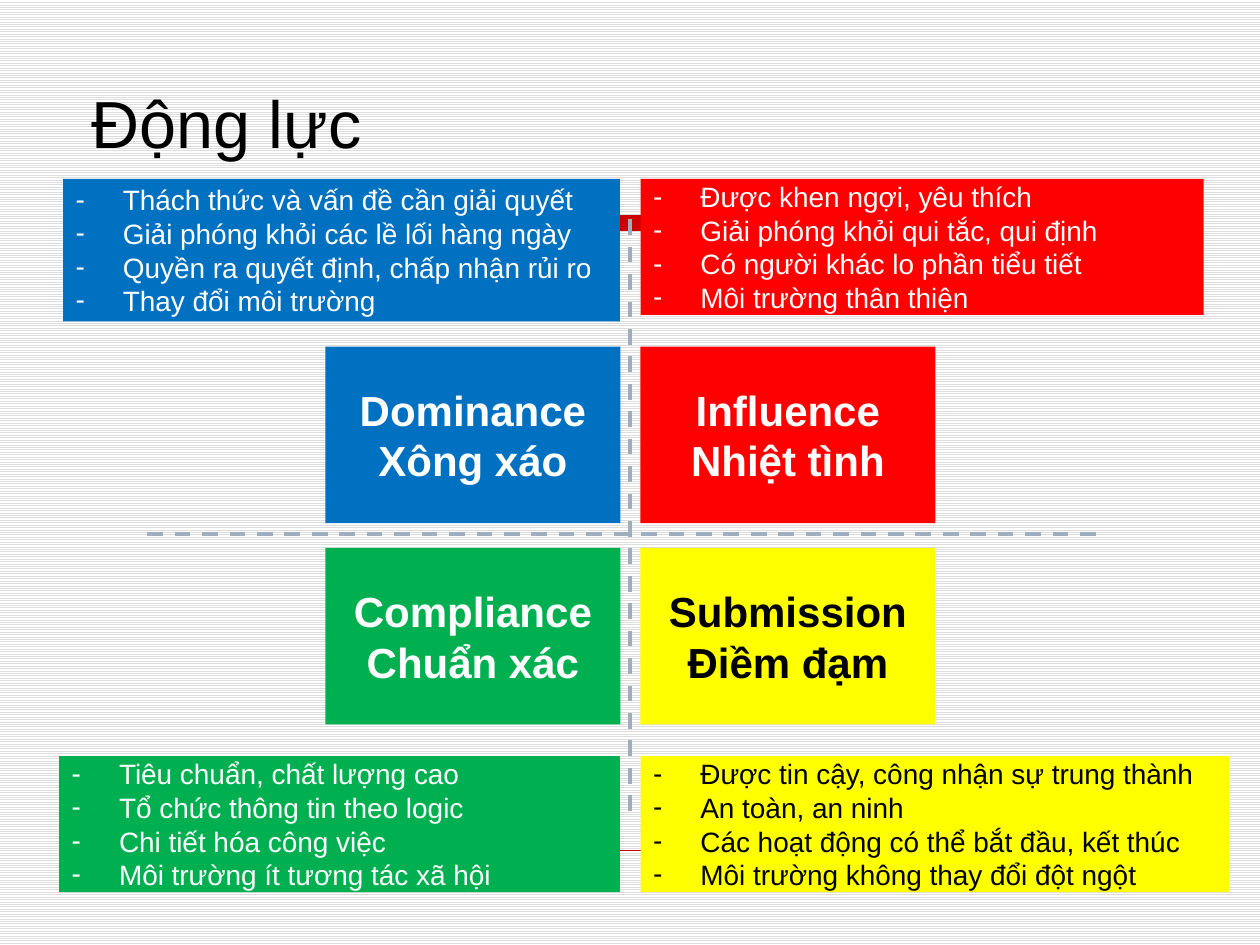
"""Build the slide on what motivates each of the four DISC styles."""
import pptx
import pptx.util
import pptx.dml.color
import pptx.enum.dml
import pptx.enum.shapes
import pptx.enum.text
import pptx.oxml.ns
import lxml.etree

Pt = pptx.util.Pt
ALIGN = pptx.enum.text.PP_ALIGN
ANCHOR = pptx.enum.text.MSO_ANCHOR
COLORS = {
    "blue": "0070C0", "red": "FF0000", "green": "00B050", "yellow": "FFFF00",
    "white": "FFFFFF", "black": "000000", "stripe": "DDDDDD",
    "accent": "CC0000", "axis": "9FAEBD",
}
STYLES = [
    ("Dominance", "Xông xáo", "blue", "white", (36, 102.2, 318.2, 81.4), [
        "Thách thức và vấn đề cần giải quyết",
        "Giải phóng khỏi các lề lối hàng ngày",
        "Quyền ra quyết định, chấp nhận rủi ro",
        "Thay đổi môi trường"]),
    ("Influence", "Nhiệt tình", "red", "white", (366, 102.2, 321.8, 77.8), [
        "Được khen ngợi, yêu thích",
        "Giải phóng khỏi qui tắc, qui định",
        "Có người khác lo phần tiểu tiết",
        "Môi trường thân thiện"]),
    ("Compliance", "Chuẩn xác", "green", "white", (33.8, 432, 320.4, 77.8), [
        "Tiêu chuẩn, chất lượng cao",
        "Tổ chức thông tin theo logic",
        "Chi tiết hóa công việc",
        "Môi trường ít tương tác xã hội"]),
    ("Submission", "Điềm đạm", "yellow", "black", (366, 432, 336.2, 77.8), [
        "Được tin cậy, công nhận sự trung thành",
        "An toàn, an ninh",
        "Các hoạt động có thể bắt đầu, kết thúc",
        "Môi trường không thay đổi đột ngột"]),
]


def color(name):
    return pptx.dml.color.RGBColor.from_string(COLORS[name])


def fill_shape(shape, name):
    shape.fill.solid()
    shape.fill.fore_color.rgb = color(name)


def write(shape, lines, size, ink, bold=False, align=ALIGN.LEFT, anchor=ANCHOR.MIDDLE):
    frame = shape.text_frame
    frame.text = "\n".join(lines)
    frame.word_wrap = True
    frame.auto_size = pptx.enum.text.MSO_AUTO_SIZE.NONE
    frame.vertical_anchor = anchor
    for para in frame.paragraphs:
        para.alignment = align
        para.space_before = Pt(0)
        for span in para.runs:
            span.font.name = "Arial"
            span.font.size = Pt(size)
            span.font.bold = bold
            span.font.color.rgb = color(ink)


def place(shape, left, top, width, height):
    shape.left, shape.top = Pt(left), Pt(top)
    shape.width, shape.height = Pt(width), Pt(height)


def paint_background(page):
    fill = page.background.fill
    fill.patterned()
    fill.pattern = pptx.enum.dml.MSO_PATTERN.LIGHT_HORIZONTAL
    fill.fore_color.rgb = color("stripe")
    fill.back_color.rgb = color("white")


def send_to_back(shape):
    tree = shape.element.getparent()
    tree.insert(2, shape.element)


def add_line(page, start, end, name, width, dashed=False):
    line = page.shapes.add_connector(
        pptx.enum.shapes.MSO_CONNECTOR.STRAIGHT, *map(Pt, start + end))
    line.line.color.rgb = color(name)
    line.line.width = Pt(width)
    if dashed:
        line.line.dash_style = pptx.enum.dml.MSO_LINE.DASH
    lxml.etree.SubElement(line.element.spPr, pptx.oxml.ns.qn("a:effectLst"))
    return line


def add_title_bar(page):
    left, middle, right, top, bottom = map(Pt, (48, 415, 675, 123, 131.6))
    builder = page.shapes.build_freeform(left, top)
    builder.add_line_segments([(middle, top), (middle, bottom), (left, bottom)])
    builder.move_to(left, top)
    builder.add_line_segments([(right, top)], close=False)
    bar = builder.convert_to_shape()
    bar.shadow.inherit = False
    fill_shape(bar, "accent")
    bar.line.color.rgb = color("accent")
    bar.line.width = Pt(0.75)
    return bar


def add_style_box(page, column, row, lines, paint, ink):
    box = page.shapes.add_shape(
        pptx.enum.shapes.MSO_SHAPE.RECTANGLE,
        Pt(186 + 180 * column), Pt(198 + 115 * row), Pt(168.5), Pt(101))
    box.shadow.inherit = False
    box.line.fill.background()
    fill_shape(box, paint)
    write(box, lines, 24, ink, bold=True, align=ALIGN.CENTER)


def fill_list(box, bounds, items, paint, ink):
    place(box, *bounds)
    fill_shape(box, paint)
    write(box, items, 16, ink)
    for para in box.text_frame.paragraphs:
        properties = para._p.get_or_add_pPr()
        properties.set("marL", str(Pt(27)))
        properties.set("indent", str(-Pt(27)))
        bullet = lxml.etree.SubElement(properties, pptx.oxml.ns.qn("a:buChar"))
        bullet.set("char", "-")


def main():
    deck = pptx.Presentation()
    deck.slide_width, deck.slide_height = Pt(720), Pt(540)
    page = deck.slides.add_slide(deck.slide_layouts.get_by_name("Comparison"))
    paint_background(page)

    title, *lists = page.placeholders
    place(title, 45, 0, 630, 96)
    write(title, ["Động lực"], 38, "black", anchor=ANCHOR.BOTTOM)

    for index, (name, meaning, paint, ink, bounds, items) in enumerate(STYLES):
        row, column = divmod(index, 2)
        add_style_box(page, column, row, [name, meaning], paint, ink)
        fill_list(lists[index], bounds, items, paint, ink)

    send_to_back(add_line(page, (360, 125.3), (360, 469.4), "axis", 2.25, dashed=True))
    add_line(page, (84.2, 305.3), (630, 305.3), "axis", 2.25, dashed=True)
    send_to_back(add_line(page, (48, 486), (672, 486), "accent", 0.25))
    send_to_back(add_title_bar(page))
    deck.save("out.pptx")


if __name__ == "__main__":
    main()
